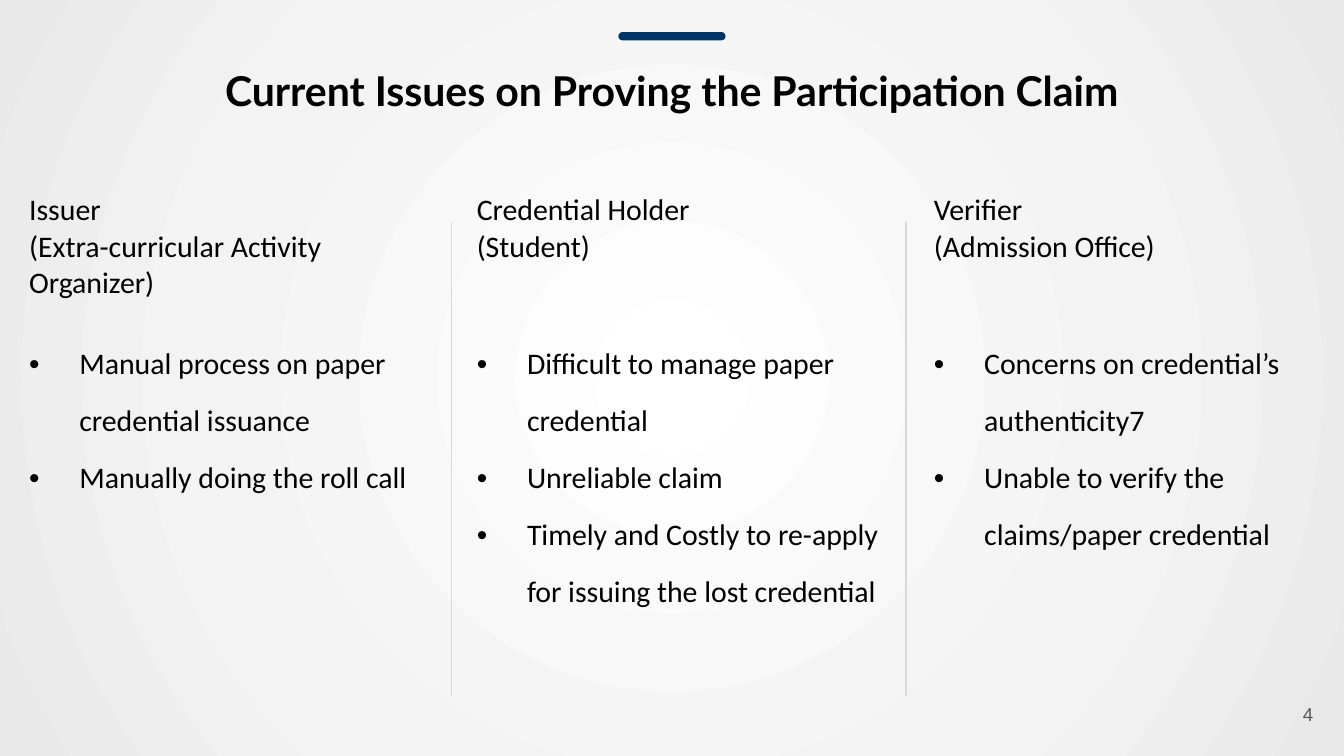
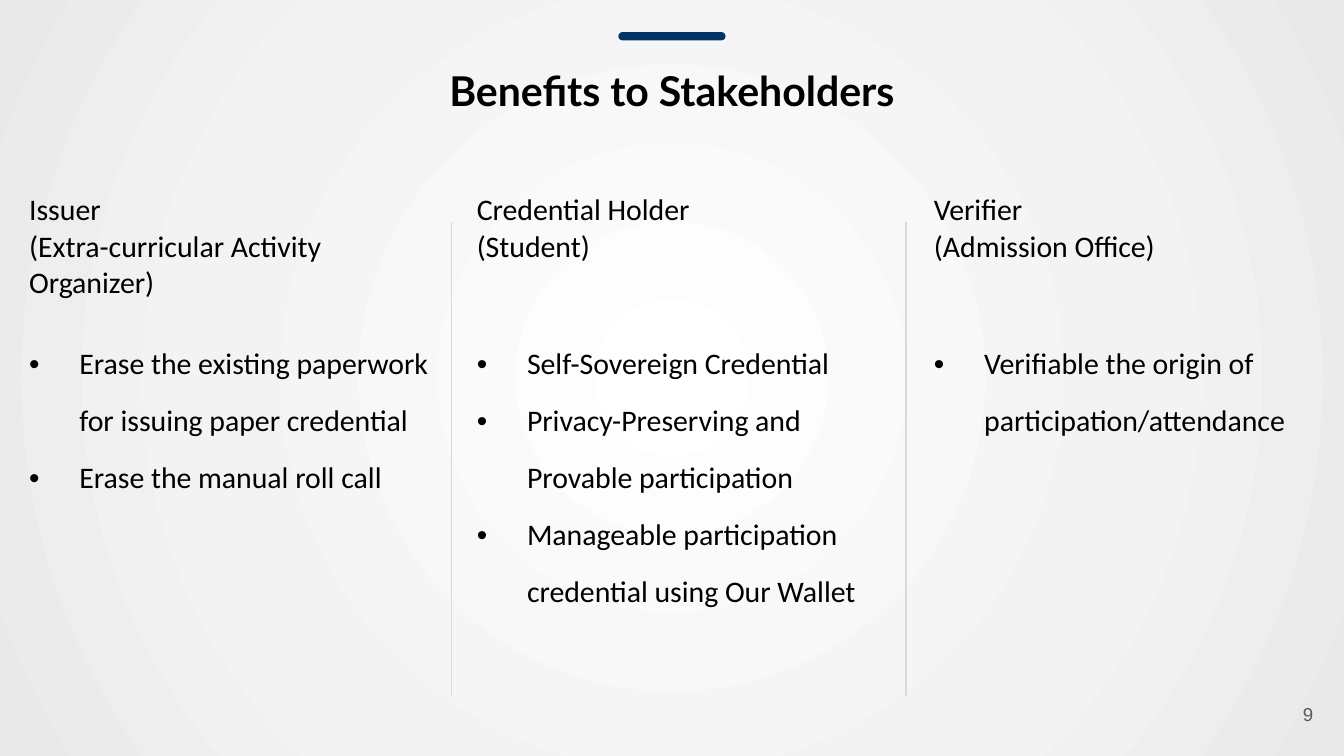
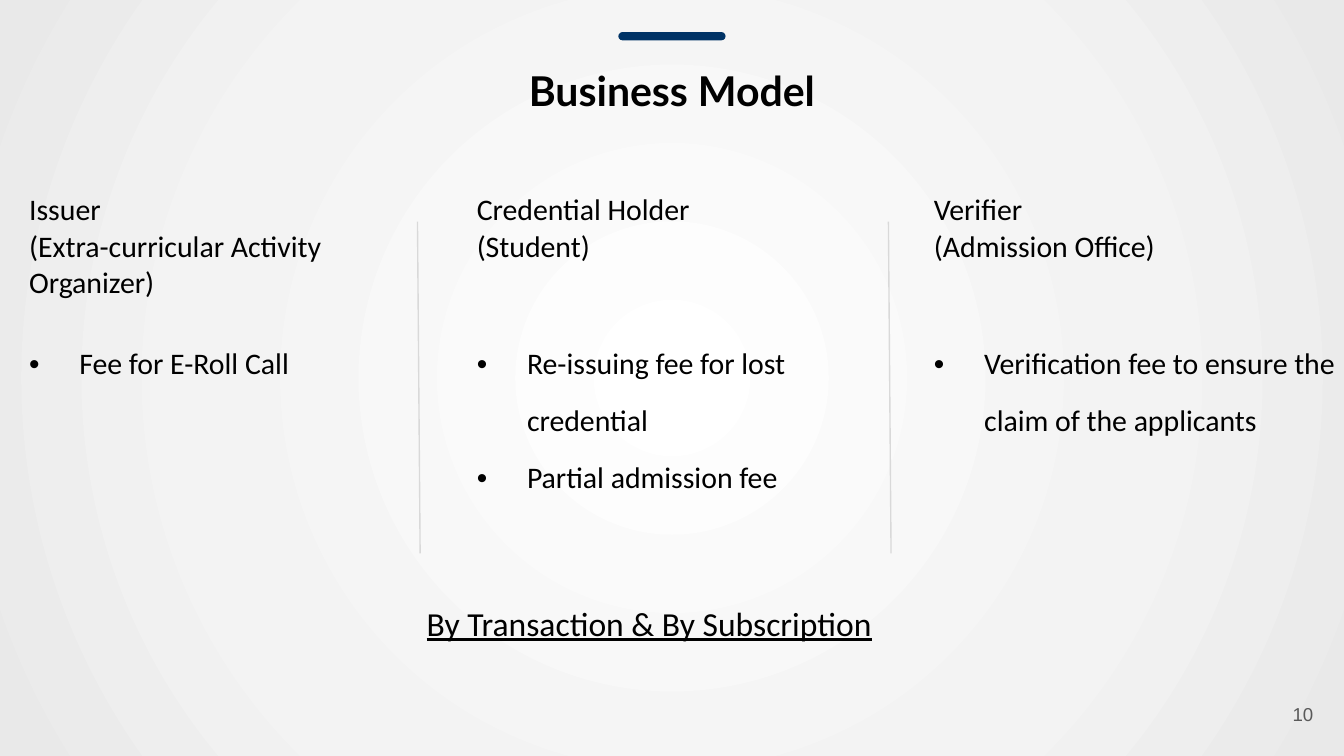
from pptx import Presentation
from pptx.dml.color import RGBColor
from pptx.enum.shapes import MSO_CONNECTOR, MSO_SHAPE
from pptx.enum.text import MSO_ANCHOR, PP_ALIGN
from pptx.oxml import parse_xml
from pptx.oxml.ns import nsdecls
from pptx.util import Cm, Pt

BLACK = RGBColor(0x00, 0x00, 0x00)
NAVY = RGBColor(0x00, 0x33, 0x66)
RULE_GRAY = RGBColor(0xD9, 0xD9, 0xD9)
PAGE_GRAY = RGBColor(0x59, 0x59, 0x59)
BACKGROUND_STOPS = (
    (0, RGBColor(0xFF, 0xFF, 0xFF)),
    (61, RGBColor(0xF3, 0xF3, 0xF3)),
    (100, RGBColor(0xE9, 0xE9, 0xE9)),
)

SLIDE_WIDTH, SLIDE_HEIGHT = 25.4, 14.29
INSET = Cm(0.25)
COLUMN_WIDTHS = (8.46, 8.64, 8.31)
ROW_HEIGHTS = (1.63, 8.69)
RULE_TOP = 4.19
PLAIN_TABLE_STYLE = "{2D5ABB26-0587-4C30-8999-92F81FD0307C}"

STAKEHOLDERS = (
    ("Issuer", "(Extra-curricular Activity Organizer)"),
    ("Credential Holder", "(Student)"),
    ("Verifier", "(Admission Office)"),
)


class Deck:
    """Holds the shared style and the slide being built."""

    def __init__(self):
        self.presentation = Presentation()
        self.presentation.slide_width = Cm(SLIDE_WIDTH)
        self.presentation.slide_height = Cm(SLIDE_HEIGHT)
        self.slide = None
        self.set_background()

    def set_background(self):
        """Put the radial gradient on the master, for every slide."""
        master = self.presentation.slide_master
        master.background.fill.gradient()
        gradient = master.element.xpath("p:cSld/p:bg/p:bgPr/a:gradFill")[0]
        stops = "".join(
            f'<a:gs pos="{position * 1000}"><a:srgbClr val="{color}"/></a:gs>'
            for position, color in BACKGROUND_STOPS
        )
        radial = parse_xml(
            f'<a:gradFill {nsdecls("a")}><a:gsLst>{stops}</a:gsLst>'
            '<a:path path="circle"><a:fillToRect l="50000" t="50000" '
            'r="50000" b="50000"/></a:path></a:gradFill>'
        )
        gradient.getparent().replace(gradient, radial)

    def start_slide(self, title, page):
        self.slide = self.presentation.slides.add_slide(
            self.presentation.slide_layouts[6])
        self.title(title)
        self.page_number(page)

    def add_text_run(self, paragraph, text, size, font="Calibri", color=BLACK,
                     bold=False, underline=False):
        run = paragraph.add_run()
        run.text = text
        run.font.name = font
        run.font.size = Pt(size)
        run.font.color.rgb = color
        run.font.bold = bold
        run.font.underline = underline

    def set_frame(self, frame, anchor):
        frame.word_wrap = True
        frame.vertical_anchor = anchor
        frame.margin_left = frame.margin_right = INSET
        frame.margin_top = frame.margin_bottom = INSET

    def text(self, text, left, top, width, height, align, anchor, **style):
        shape = self.slide.shapes.add_textbox(
            Cm(left), Cm(top), Cm(width), Cm(height))
        self.set_frame(shape.text_frame, anchor)
        paragraph = shape.text_frame.paragraphs[0]
        paragraph.alignment = align
        self.add_text_run(paragraph, text, **style)

    def rounded(self, left, top, width, height):
        shape = self.slide.shapes.add_shape(
            MSO_SHAPE.ROUNDED_RECTANGLE,
            Cm(left), Cm(top), Cm(width), Cm(height))
        shape.shadow.inherit = False
        return shape

    def title(self, text):
        self.text(text, 0, 0.99, SLIDE_WIDTH, 1.63, PP_ALIGN.CENTER,
                  MSO_ANCHOR.TOP, size=22, font="Lato", bold=True)
        bar_width = 2
        bar = self.rounded((SLIDE_WIDTH - bar_width) / 2, 0.62, bar_width, 0.13)
        bar.adjustments[0] = 0.5
        bar.fill.solid()
        bar.fill.fore_color.rgb = NAVY
        bar.line.color.rgb = NAVY
        bar.line.width = Pt(0.75)

    def page_number(self, page):
        self.text(str(page), 23.55, 12.95, 1.52, 1.09, PP_ALIGN.RIGHT,
                  MSO_ANCHOR.MIDDLE, size=10, font="Arial", color=PAGE_GRAY)

    def column_rules(self, positions, bottom, slant=0):
        for left in positions:
            connector = self.slide.shapes.add_connector(
                MSO_CONNECTOR.STRAIGHT, Cm(left), Cm(RULE_TOP),
                Cm(left + slant), Cm(bottom))
            connector.line.color.rgb = RULE_GRAY
            connector.line.width = Pt(0.75)
            connector.element.spPr.append(
                parse_xml(f'<a:effectLst {nsdecls("a")}/>'))

    def bullet(self, paragraph):
        paragraph.line_spacing = 1.56
        properties = paragraph._p.get_or_add_pPr()
        indent = Cm(0.95)
        properties.set("marL", str(indent))
        properties.set("indent", str(-indent))
        for mark in (
            f'<a:buClr {nsdecls("a")}><a:srgbClr val="{BLACK}"/></a:buClr>',
            f'<a:buFont {nsdecls("a")} typeface="Arial"/>',
            f'<a:buChar {nsdecls("a")} char="•"/>',
        ):
            properties.append(parse_xml(mark))

    def cell(self, cell, lines, bulleted):
        cell.fill.background()
        cell.margin_left = cell.margin_right = INSET
        cell.margin_top = cell.margin_bottom = INSET
        frame = cell.text_frame
        for index, line in enumerate(lines):
            paragraph = frame.add_paragraph() if index else frame.paragraphs[0]
            if bulleted:
                self.bullet(paragraph)
            self.add_text_run(paragraph, line, 16)

    def stakeholder_table(self, points):
        graphic_frame = self.slide.shapes.add_table(
            len(ROW_HEIGHTS), len(COLUMN_WIDTHS), Cm(0.3), Cm(3.38),
            Cm(sum(COLUMN_WIDTHS)), Cm(sum(ROW_HEIGHTS)))
        graphic_frame.element.xpath(".//a:tableStyleId")[0].text = PLAIN_TABLE_STYLE
        table = graphic_frame.table
        table.first_row = table.horz_banding = False
        for row, height in zip(table.rows, ROW_HEIGHTS):
            row.height = Cm(height)
        for index, width in enumerate(COLUMN_WIDTHS):
            table.columns[index].width = Cm(width)
            self.cell(table.cell(0, index), STAKEHOLDERS[index], False)
            self.cell(table.cell(1, index), points[index], True)

    def pricing_note(self, text):
        shape = self.rounded(6.68, 10.46, 11.18, 2.62)
        shape.fill.background()
        shape.line.fill.background()
        self.set_frame(shape.text_frame, MSO_ANCHOR.MIDDLE)
        paragraph = shape.text_frame.paragraphs[0]
        paragraph.alignment = PP_ALIGN.CENTER
        self.add_text_run(paragraph, text, 18, underline=True)


def main():
    deck = Deck()
    full_rules = {"positions": (8.53, 17.12), "bottom": 13.16}

    # Current issues
    deck.start_slide("Current Issues on Proving the Participation Claim", 4)
    deck.column_rules(**full_rules)
    deck.stakeholder_table((
        ("Manual process on paper credential issuance",
         "Manually doing the roll call"),
        ("Difficult to manage paper credential",
         "Unreliable claim",
         "Timely and Costly to re-apply for issuing the lost credential"),
        ("Concerns on credential’s authenticity7",
         "Unable to verify the claims/paper credential"),
    ))

    # Benefits
    deck.start_slide("Benefits to Stakeholders", 9)
    deck.column_rules(**full_rules)
    deck.stakeholder_table((
        ("Erase the existing paperwork for issuing paper credential",
         "Erase the manual roll call"),
        ("Self-Sovereign Credential",
         "Privacy-Preserving and Provable participation",
         "Manageable participation credential using Our Wallet"),
        ("Verifiable the origin of participation/attendance",),
    ))

    # Business model
    deck.start_slide("Business Model", 10)
    deck.stakeholder_table((
        ("Fee for E-Roll Call",),
        ("Re-issuing fee for lost credential", "Partial admission fee"),
        ("Verification fee to ensure the claim of the applicants",),
    ))
    deck.column_rules((7.89, 16.79), bottom=10.46, slant=0.05)
    deck.pricing_note("By Transaction & By Subscription")

    deck.presentation.save("out.pptx")


if __name__ == "__main__":
    main()
